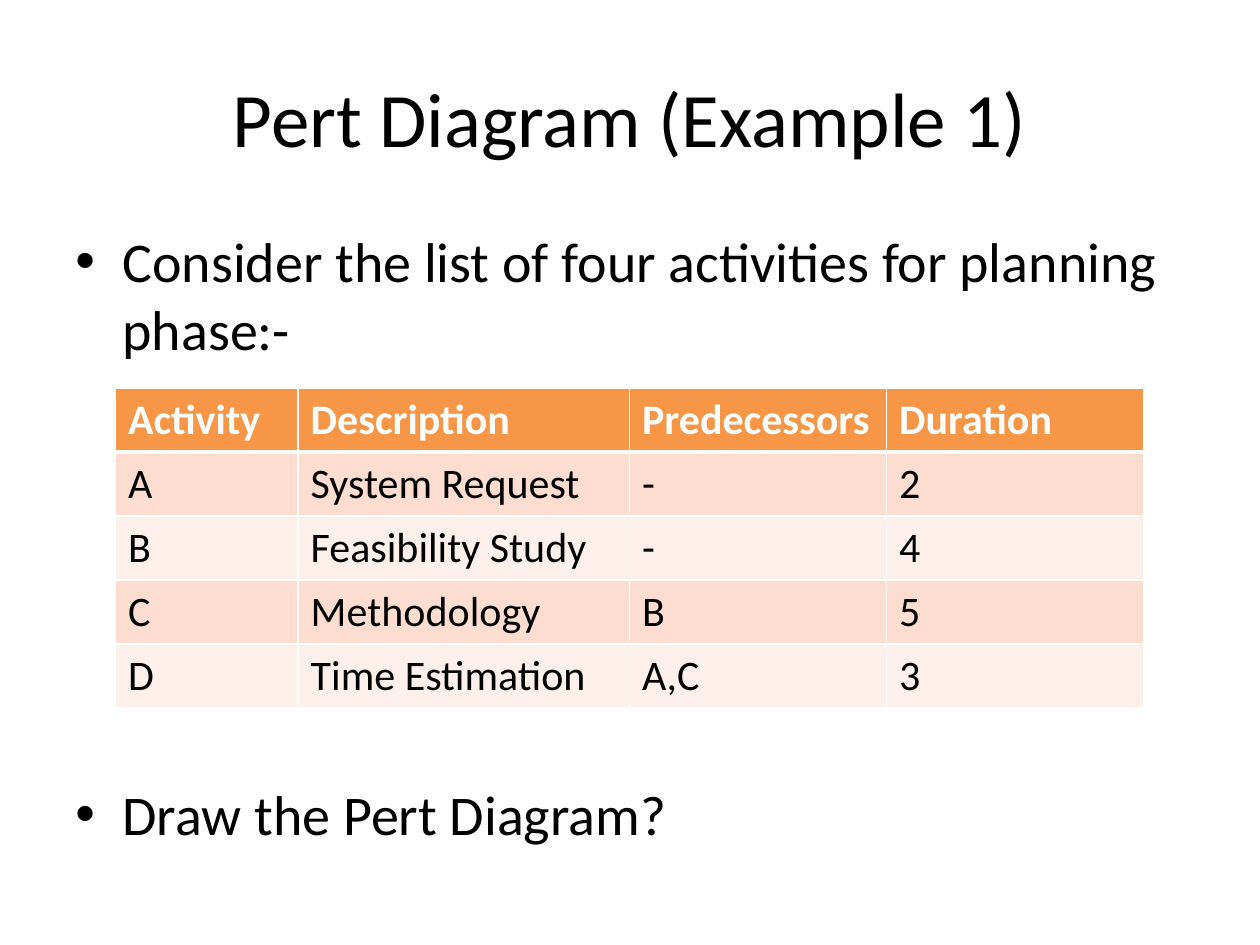
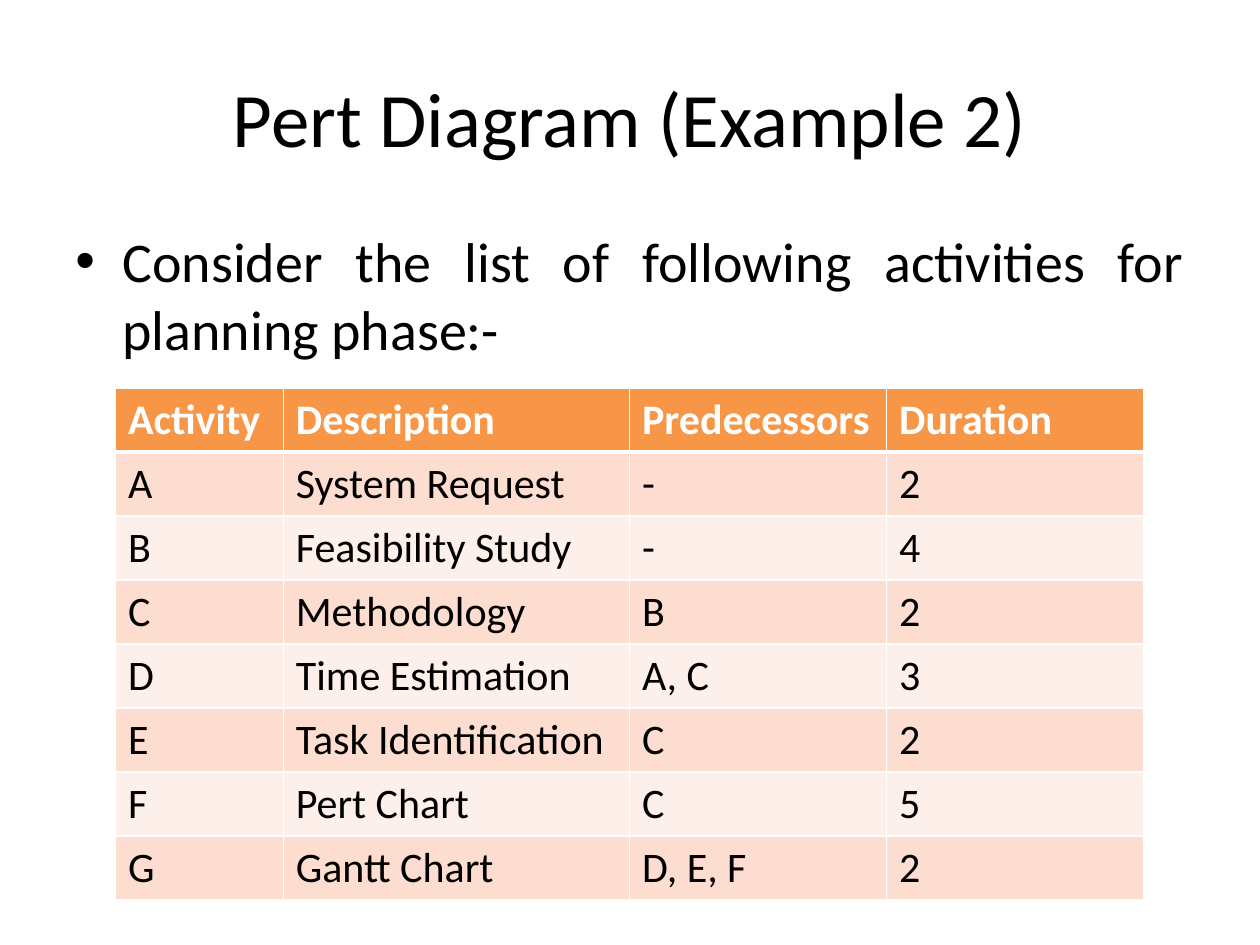
from lxml.etree import SubElement
from pptx import Presentation
from pptx.dml.color import RGBColor
from pptx.enum.text import MSO_ANCHOR, PP_ALIGN
from pptx.oxml import parse_xml
from pptx.oxml.ns import nsdecls, qn
from pptx.util import Cm, Pt

HEADINGS = ("Activity", "Description", "Predecessors", "Duration")
EXAMPLES = [
    {
        "title": "Pert Diagram (Example 1)",
        "bullets": [
            "Consider the list of four activities for planning phase:-",
            "Draw the Pert Diagram?",
        ],
        "align": PP_ALIGN.LEFT,
        "columns": (3.68, 6.68, 5.18, 5.18),
        "activities": [
            ("A", "System Request", "-", "2"),
            ("B", "Feasibility Study", "-", "4"),
            ("C", "Methodology", "B", "5"),
            ("D", "Time Estimation", "A,C", "3"),
        ],
    },
    {
        "title": "Pert Diagram (Example 2)",
        "bullets": ["Consider the list of following activities for planning phase:-"],
        "align": PP_ALIGN.JUSTIFY,
        "columns": (3.38, 6.98, 5.18, 5.18),
        "activities": [
            ("A", "System Request", "-", "2"),
            ("B", "Feasibility Study", "-", "4"),
            ("C", "Methodology", "B", "2"),
            ("D", "Time Estimation", "A, C", "3"),
            ("E", "Task Identification", "C", "2"),
            ("F", "Pert Chart", "C", "5"),
            ("G", "Gantt Chart", "D, E, F", "2"),
        ],
    },
]

FONT = "Calibri"
BLACK, WHITE = "000000", "FFFFFF"
ORANGE, BANDS = "F79646", ("FCDDCF", "FDEFE9")
MARGIN, CONTENT_WIDTH = 1.27, 22.86
TABLE_LEFT, TABLE_TOP, ROW_HEIGHT = 2.33, 7.82, 1.29
INDENT = Cm(0.95)
SPACE_AROUND_TABLE = Pt(239)


def rgb(value):
    """Turn a hex string into a colour."""
    return RGBColor.from_string(value)


def style(paragraph, size, color=BLACK, bold=False):
    """Set the font of a whole paragraph."""
    font = paragraph.font
    font.name, font.size, font.bold = FONT, Pt(size), bold
    font.color.rgb = rgb(color)


def add_title(slide, text):
    """Place and format the title."""
    title = slide.shapes.title
    title.left, title.top = Cm(MARGIN), Cm(0.76)
    title.width, title.height = Cm(CONTENT_WIDTH), Cm(3.18)
    title.text_frame.text = text
    title.text_frame.vertical_anchor = MSO_ANCHOR.MIDDLE
    paragraph = title.text_frame.paragraphs[0]
    paragraph.alignment = PP_ALIGN.CENTER
    style(paragraph, 44)


def add_bullets(slide, bullets, align):
    """Write the bullets, leaving room for the table after the first one."""
    frame = slide.shapes.add_textbox(
        Cm(MARGIN), Cm(4.45), Cm(CONTENT_WIDTH), Cm(12.57)).text_frame
    frame.word_wrap = True
    frame.text = "\n".join(bullets)
    for index, paragraph in enumerate(frame.paragraphs):
        paragraph.alignment = align
        paragraph.space_before = SPACE_AROUND_TABLE if index else Pt(0)
        style(paragraph, 32)
        properties = paragraph._p.get_or_add_pPr()
        properties.set("marL", str(INDENT))
        properties.set("indent", str(-INDENT))
        SubElement(properties, qn("a:buFont")).set("typeface", "Arial")
        SubElement(properties, qn("a:buChar")).set("char", "•")


def set_borders(cell, top, bottom):
    """Give a cell white borders, one point wide at the sides."""
    properties = cell._tc.get_or_add_tcPr()
    sides = (("L", 1), ("R", 1), ("T", top), ("B", bottom))
    for position, (side, width) in enumerate(sides):
        properties.insert(position, parse_xml(
            f'<a:ln{side} {nsdecls("a")} w="{Pt(width)}"><a:solidFill>'
            f'<a:srgbClr val="{WHITE}"/></a:solidFill></a:ln{side}>'))


def add_activities(slide, activities, columns):
    """Build the activity table with an orange heading and banded rows."""
    rows = [HEADINGS, *activities]
    table = slide.shapes.add_table(
        len(rows), len(columns), Cm(TABLE_LEFT), Cm(TABLE_TOP),
        Cm(sum(columns)), Cm(ROW_HEIGHT * len(rows))).table
    for column, width in zip(table.columns, columns):
        column.width = Cm(width)
    for r, row in enumerate(rows):
        heading = r == 0
        for c, text in enumerate(row):
            cell = table.cell(r, c)
            cell.text = text
            cell.fill.solid()
            cell.fill.fore_color.rgb = rgb(ORANGE if heading else BANDS[(r - 1) % 2])
            style(cell.text_frame.paragraphs[0], 24, WHITE if heading else BLACK, heading)
            set_borders(cell, top=3 if r == 1 else 1, bottom=3 if heading else 1)


def main():
    """Build one slide for each example."""
    deck = Presentation()
    deck.slide_width, deck.slide_height = Cm(25.4), Cm(19.05)
    for example in EXAMPLES:
        slide = deck.slides.add_slide(deck.slide_layouts.get_by_name("Title Only"))
        add_title(slide, example["title"])
        add_bullets(slide, example["bullets"], example["align"])
        add_activities(slide, example["activities"], example["columns"])
    deck.save("out.pptx")


if __name__ == "__main__":
    main()
